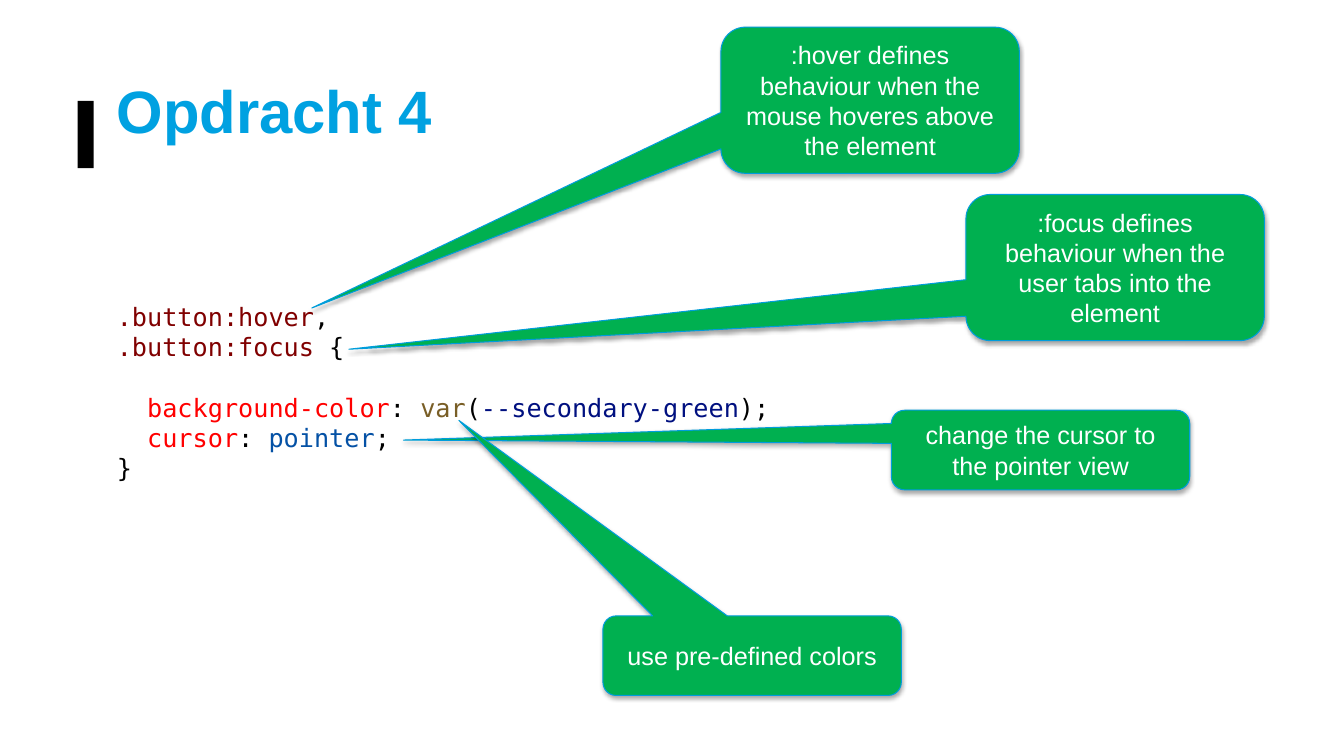
from lxml import etree
from pptx import Presentation, util as u
from pptx.dml.color import RGBColor
from pptx.enum import shapes, text
from pptx.oxml import ns

WIDE, HIGH = u.Inches(13.33), u.Inches(7.5)

BLACK = RGBColor(0x00, 0x00, 0x00)
WHITE = RGBColor(0xFF, 0xFF, 0xFF)
BLUE = RGBColor(0x00, 0xA1, 0xE1)
EDGE = RGBColor(0x00, 0x9D, 0xDC)
GREEN = RGBColor(0x00, 0xB0, 0x50)
MAROON = RGBColor(0x80, 0x00, 0x00)
RED = RGBColor(0xFF, 0x00, 0x00)
BROWN = RGBColor(0x79, 0x5E, 0x26)
NAVY = RGBColor(0x00, 0x10, 0x80)
AZURE = RGBColor(0x04, 0x51, 0xA5)

TITLE = {"name": "Arial", "size": u.Pt(42.7), "bold": True}
CODE = {"name": "DejaVu Sans Mono", "size": u.Pt(18)}
NOTE = {"name": "Arial", "size": u.Pt(18)}
FRAME = {"word_wrap": True, "vertical_anchor": text.MSO_ANCHOR.MIDDLE}

# Each code line: space before in points, then coloured tokens
LINES = [
    (0, [(".button:hover", MAROON), (",", BLACK)]),
    (0, [(".button:focus", MAROON), (" {", BLACK)]),
    (21.5, [("  background-color", RED), (": ", BLACK), ("var", BROWN),
            ("(", BLACK), ("--secondary-green", NAVY), (");", BLACK)]),
    (0, [("  cursor", RED), (": ", BLACK), ("pointer", AZURE), (";", BLACK)]),
    (0, [("}", BLACK)]),
]

# Each callout: left, top, height and tip in percent of the slide, then words
SPAN, TALL, LOW = 22.2, 19.33, 10.53
NOTES = [
    (53.64, 3.6, TALL, (23.2, 40.75),
     ":hover defines behaviour when the mouse hoveres above the element"),
    (71.87, 25.73, TALL, (25.96, 46.2),
     ":focus defines behaviour when the user tabs into the element"),
    (66.32, 54.27, LOW, (30.02, 58.22),
     "change the cursor to the pointer view"),
    (44.86, 81.47, LOW, (34.14, 55.61), "use pre-defined colors"),
]


def place(left, top, width, height):
    """Turn percent of the slide into lengths."""
    return [int(part * full / 100) for part, full in
            zip((left, top, width, height), (WIDE, HIGH) * 2)]


def style(item, form):
    for key, value in form.items():
        setattr(item, key, value)


def write(para, words, color, form):
    run = para.add_run()
    run.text = words
    style(run.font, form)
    run.font.color.rgb = color


def add_bar(slide, *area):
    bar = slide.shapes.add_shape(shapes.MSO_SHAPE.RECTANGLE, *place(*area))
    bar.shadow.inherit = False
    bar.fill.solid()
    bar.fill.fore_color.rgb = BLACK
    bar.line.fill.background()


def add_title(slide, words, *area):
    frame = slide.shapes.add_textbox(*place(*area)).text_frame
    style(frame, FRAME)
    write(frame.paragraphs[0], words, BLUE, TITLE)


def add_code(slide, lines, *area):
    frame = slide.shapes.add_textbox(*place(*area)).text_frame
    frame.word_wrap = True
    for row, (gap, tokens) in enumerate(lines):
        para = frame.add_paragraph() if row else frame.paragraphs[0]
        if gap:
            para.space_before = u.Pt(gap)
        for words, color in tokens:
            write(para, words, color, CODE)


def add_shade(shape):
    """Give the shape a soft shadow that falls straight down."""
    shape.shadow.inherit = False
    effects = shape.element.spPr.find(ns.qn("a:effectLst"))
    shade = etree.SubElement(
        effects, ns.qn("a:outerShdw"), blurRad=str(u.Pt(3.1)),
        dist=str(u.Pt(1.8)), dir="5400000", rotWithShape="0")
    color = etree.SubElement(shade, ns.qn("a:srgbClr"), val=str(BLACK))
    etree.SubElement(color, ns.qn("a:alpha"), val="35000")


def add_note(slide, left, top, height, tip, words):
    note = slide.shapes.add_shape(
        shapes.MSO_SHAPE.ROUNDED_RECTANGULAR_CALLOUT,
        *place(left, top, SPAN, height))
    # The tip is set as an offset from the middle, in box sizes
    note.adjustments[0] = (tip[0] - left) / SPAN - 0.5
    note.adjustments[1] = (tip[1] - top) / height - 0.5
    note.adjustments[2] = 1 / 6
    note.fill.solid()
    note.fill.fore_color.rgb = GREEN
    note.line.color.rgb = EDGE
    note.line.width = u.Pt(0.75)
    add_shade(note)
    style(note.text_frame, FRAME)
    para = note.text_frame.paragraphs[0]
    para.alignment = text.PP_ALIGN.CENTER
    write(para, words, WHITE, NOTE)


def main():
    deck = Presentation()
    style(deck, {"slide_width": WIDE, "slide_height": HIGH})
    slide = deck.slides.add_slide(deck.slide_layouts[6])

    # Heading
    add_bar(slide, 5.78, 13.33, 1.2, 8.93)
    add_title(slide, "Opdracht 4", 7.95, 4.8, 81.4, 19.33)

    # Code and its callouts
    add_code(slide, LINES, 7.95, 39.2, 81.4, 25.6)
    for note in NOTES:
        add_note(slide, *note)

    deck.save("out.pptx")


if __name__ == "__main__":
    main()
